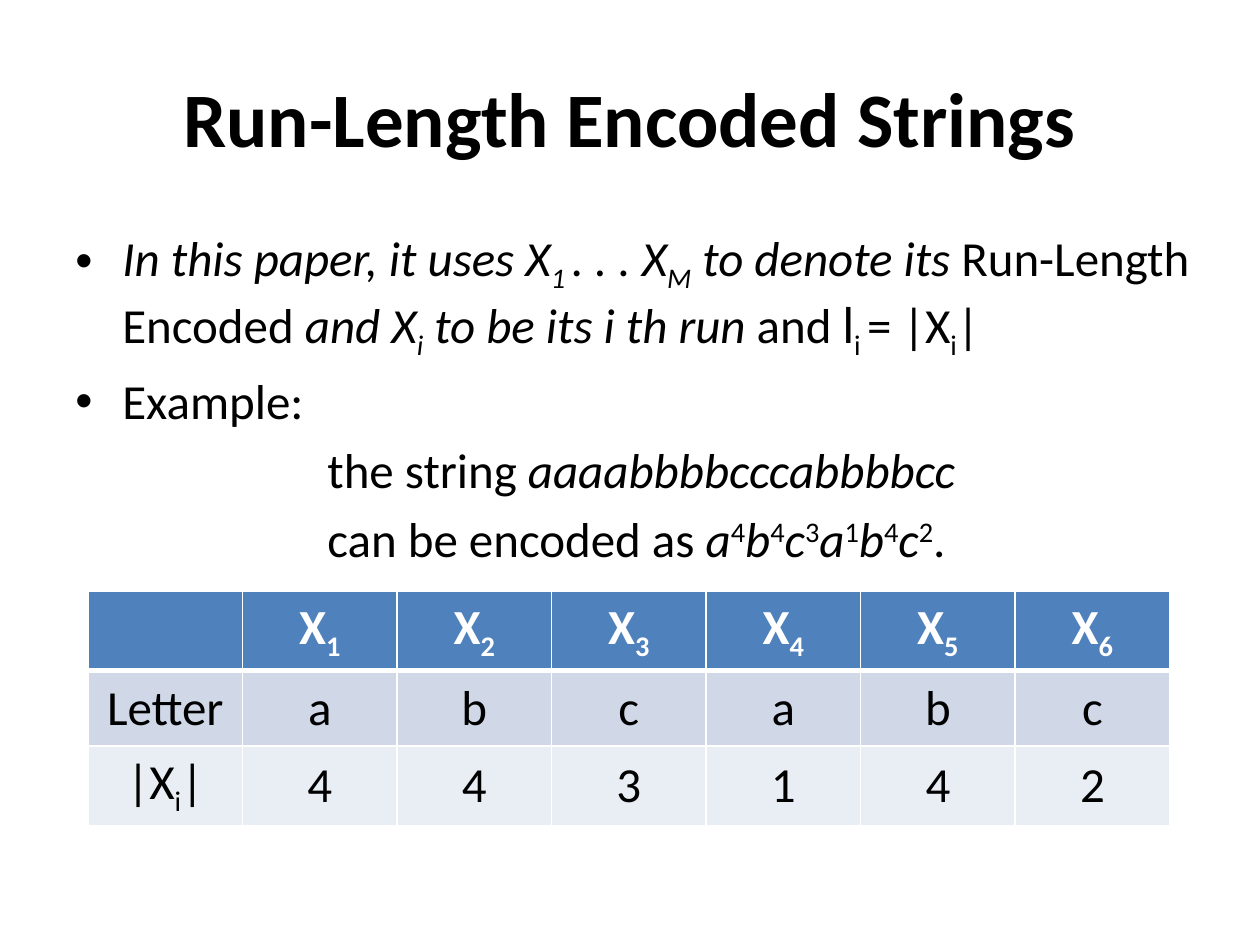
from lxml import etree
from pptx import Presentation
from pptx.dml.color import RGBColor
from pptx.enum.text import MSO_ANCHOR, PP_ALIGN
from pptx.oxml.ns import qn
from pptx.util import Pt

PX = 914400 // 126
BLACK = RGBColor(0x00, 0x00, 0x00)
WHITE = RGBColor(0xFF, 0xFF, 0xFF)
HEADER_BLUE = RGBColor(0x4F, 0x81, 0xBD)
LETTER_BLUE = RGBColor(0xD0, 0xD8, 0xE8)
LENGTH_BLUE = RGBColor(0xE9, 0xED, 0xF4)
CENTER, LEFT = PP_ALIGN.CENTER, PP_ALIGN.LEFT
TOP, MIDDLE = MSO_ANCHOR.TOP, MSO_ANCHOR.MIDDLE

# Content: runs are (text, marks); i italic, _ subscript, ^ superscript, L Lato
TITLE = "Run-Length Encoded Strings"
LETTERS = "abcabc"
LENGTHS = "443142"
DEFINITION = [
    ("In this paper, it uses X", "i"), ("1 ", "i_"), (". . . X", "i"), ("M", "i_"),
    (" to denote its ", "i"), ("Run-Length Encoded ", ""), ("and X", "i"),
    ("i", "i_"), (" to be its i th run ", "i"), ("and ", ""), ("l", "L"),
    ("i ", "_"), ("= |X", ""), ("i", "_"), ("|", ""),
]
ENCODING = [("can be encoded as ", "")]
for letter, length in zip(LETTERS, LENGTHS):
    ENCODING += [(letter, "i"), (length, "^")]
ENCODING.append((".", ""))

# Body paragraphs: (runs, left margin, bulleted)
BODY = [
    (DEFINITION, 47, True),
    ([("Example:", "")], 47, True),
    ([("the string ", ""), ("aaaabbbbcccabbbbcc", "i")], 252, False),
    (ENCODING, 252, False),
]

# Table rows: (fill, text colour, bold, cells)
RUN_NAMES = [[("X", ""), (str(n), "_")] for n in range(1, len(LETTERS) + 1)]
ROWS = [
    (HEADER_BLUE, WHITE, True, [[]] + RUN_NAMES),
    (LETTER_BLUE, BLACK, False, [[("Letter", "")]] + [[(c, "")] for c in LETTERS]),
    (LENGTH_BLUE, BLACK, False,
     [[("|X", ""), ("i", "_"), ("|", "")]] + [[(n, "")] for n in LENGTHS]),
]
TABLE_BOX = (88, 591, 1082, 227)


def add_runs(paragraph, runs, size=28, color=BLACK, bold=False):
    for text, marks in runs:
        run = paragraph.add_run()
        run.text = text
        look = {"name": "Lato" if "L" in marks else "Calibri", "size": Pt(size),
                "bold": bold, "italic": "i" in marks}
        for key, value in look.items():
            setattr(run.font, key, value)
        run.font.color.rgb = color
        for mark, baseline in (("_", "-25000"), ("^", "30000")):
            if mark in marks:
                run.font._element.set("baseline", baseline)


def add_text_frame(slide, box, anchor):
    frame = slide.shapes.add_textbox(*(v * PX for v in box)).text_frame
    frame.word_wrap = True
    frame.vertical_anchor = anchor
    return frame


def set_indent(paragraph, margin, bulleted):
    props = paragraph._p.get_or_add_pPr()
    props.set("marL", str(margin * PX))
    props.set("indent", str(-margin * PX if bulleted else 0))
    if bulleted:
        etree.SubElement(props, qn("a:buFont")).set("typeface", "Arial")
        etree.SubElement(props, qn("a:buChar")).set("char", "•")
    else:
        etree.SubElement(props, qn("a:buNone"))


def set_borders(cell, bottom_width):
    props = cell._tc.get_or_add_tcPr()
    widths = {"a:lnL": 1, "a:lnR": 1, "a:lnT": 1, "a:lnB": bottom_width}
    for position, (side, width) in enumerate(widths.items()):
        line = etree.Element(qn(side), w=str(Pt(width)))
        fill = etree.SubElement(line, qn("a:solidFill"))
        etree.SubElement(fill, qn("a:srgbClr")).set("val", str(WHITE))
        props.insert(position, line)


presentation = Presentation()
presentation.slide_width = 1260 * PX
presentation.slide_height = 945 * PX
slide = presentation.slides.add_slide(presentation.slide_layouts[6])

# Title
title = add_text_frame(slide, (63, 38, 1134, 157), MIDDLE).paragraphs[0]
title.alignment = CENTER
add_runs(title, [(TITLE, "")], size=44, bold=True)

# Definition and example
body = add_text_frame(slide, (63, 221, 1158, 624), TOP)
for index, (runs, margin, bulleted) in enumerate(BODY):
    paragraph = body.add_paragraph() if index else body.paragraphs[0]
    paragraph.alignment = LEFT
    if index:
        paragraph.space_before = Pt(5.6)
    set_indent(paragraph, margin, bulleted)
    add_runs(paragraph, runs)

# Table of runs
column_count = len(ROWS[0][3])
table = slide.shapes.add_table(
    len(ROWS), column_count, *(v * PX for v in TABLE_BOX)).table
for column in table.columns:
    column.width = TABLE_BOX[2] * PX // column_count
for r, (fill, color, bold, cells) in enumerate(ROWS):
    table.rows[r].height = TABLE_BOX[3] * PX // len(ROWS)
    for c, runs in enumerate(cells):
        cell = table.cell(r, c)
        cell.fill.solid()
        cell.fill.fore_color.rgb = fill
        cell.vertical_anchor = MIDDLE
        set_borders(cell, 1 if r else 3)
        paragraph = cell.text_frame.paragraphs[0]
        paragraph.alignment = CENTER
        add_runs(paragraph, runs, color=color, bold=bold)

presentation.save("out.pptx")
